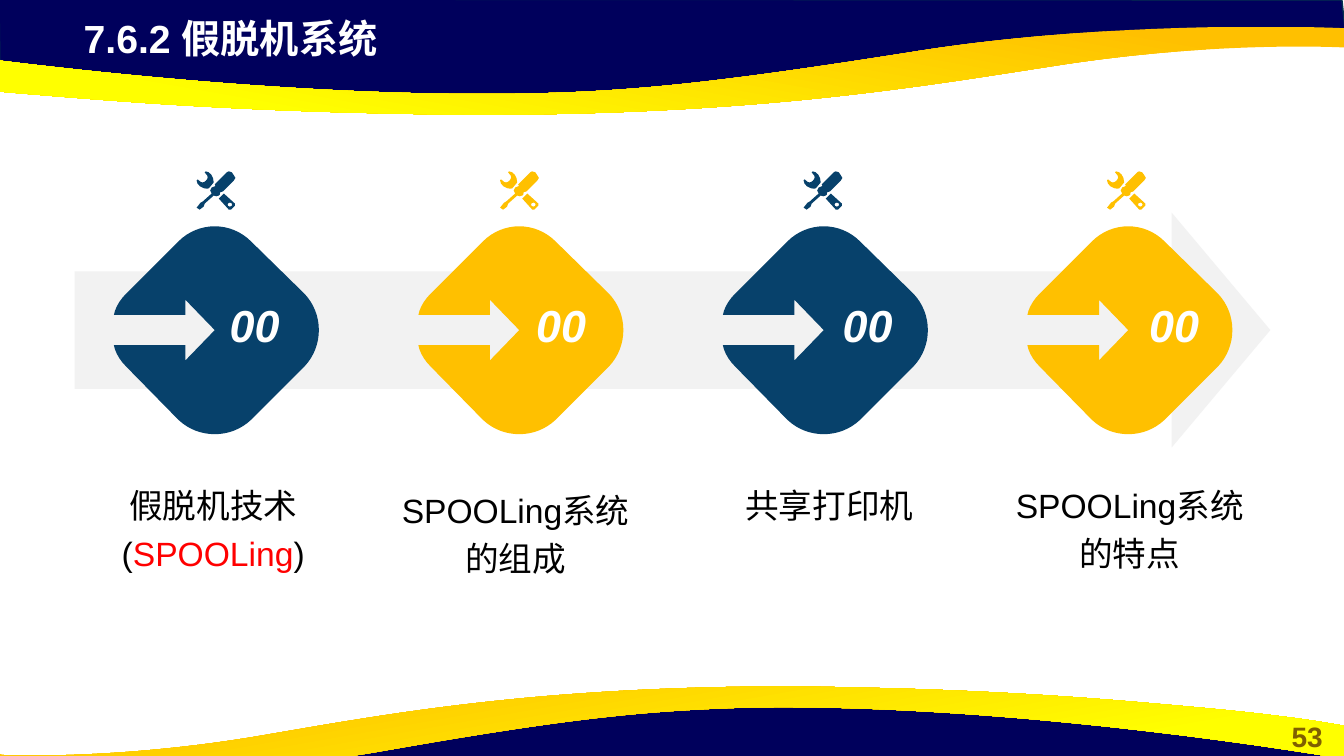
from lxml import etree
from pptx import Presentation
from pptx.dml.color import RGBColor
from pptx.enum.shapes import MSO_SHAPE
from pptx.enum.text import MSO_ANCHOR, MSO_AUTO_SIZE, PP_ALIGN
from pptx.oxml.ns import qn
from pptx.util import Inches, Pt

RIGHT_ARROW = MSO_SHAPE.RIGHT_ARROW
TOP, MIDDLE = MSO_ANCHOR.TOP, MSO_ANCHOR.MIDDLE
NO_FIT = MSO_AUTO_SIZE.NONE
LEFT, CENTER = PP_ALIGN.LEFT, PP_ALIGN.CENTER

NAVY, EDGE, GOLD, YELLOW = "00005C", "05304F", "FFC000", "FFFF00"
BLUE, GREY, WHITE, BLACK, RED = "07416B", "F2F2F2", "FFFFFF", "000000", "FF0000"
FONT = "Arial"
UNIT = Inches(0.01)

HEADER_NAVY = """M -1 -1 L 0 70 L 293 102 L 559 100 L 795 88 L 1016 50
L 1238 33 L 1335 38 L 1331 0"""
HEADER_GOLD = """M 483 114 C 443 114 401 113 356 112 C 206 108 110 100 36 94
C -88 84 -130 75 -133 75 L -133 42 C -133 42 218 98 517 93
C 626 91 708 83 915 50 C 1121 18 1333 28 1333 28 L 1333 47 L 1330 47
C 1305 46 1195 43 1055 64 C 918 85 762 113 483 114"""
FOOTER_NAVY = """M 1333 113 L 1332 43 L 1040 10 L 773 12 L 538 25 L 317 62
L 95 79 L -3 75 L 1 112"""
FOOTER_GOLD = """M 772 0 C 809 0 847 1 888 2 C 1025 6 1112 14 1179 20
C 1292 30 1330 39 1333 39 L 1333 72 C 1333 72 1014 16 742 21
C 642 24 567 31 380 64 C 192 97 -1 87 -1 87 L -1 67 L 2 68
C 25 69 125 71 252 50 C 376 29 519 1 772 0"""
DIAMOND = """M 0 -103 C 13 -103 26 -98 36 -88 L 89 -36 C 108 -16 108 16 89 36
L 36 89 C 16 108 -16 108 -36 89 L -88 36 C -93 31 -97 25 -99 19 L -100 15
L -29 15 L -29 30 L 0 0 L -29 -30 L -29 -15 L -100 -15 L -99 -19
C -97 -25 -93 -31 -88 -36 L -36 -88 C -26 -98 -13 -103 0 -103"""
TOOLS = """M 33 31 C 30 31 30 35 33 35 C 36 35 36 31 33 31
M 27 22 L 38 32 L 38 34 L 34 38 L 32 38 L 22 27 L 26 23
M 32 0 C 33 0 34 1 35 1 L 37 4 C 39 5 39 8 37 9 L 26 20
C 24 20 22 21 23 23 L 22 24 C 21 25 18 25 17 24 L 8 32 L 7 35 L 3 38 L 0 36
L 4 31 L 6 30 L 15 22 C 13 20 13 18 15 16 C 17 15 20 15 18 13 L 30 1
C 30 1 31 0 32 0
M 9 0 C 13 0 17 5 17 11 L 12 17 C 5 18 0 13 0 9 C 0 8 1 8 1 8
C 5 11 4 11 6 11 C 8 11 11 8 11 6 C 11 4 11 5 8 1"""

STEPS = [
    (0.73, 4.68, [("假脱机技术(", BLACK), ("SPOOLing", RED), (")", BLACK)]),
    (3.73, 4.73, [("SPOOLing系统的组成", BLACK)]),
    (6.84, 4.68, [("共享打印机", BLACK)]),
    (9.82, 4.68, [("SPOOLing系统的特点", BLACK)]),
]


def rgb(color):
    """Turn a hex string into a colour."""
    return RGBColor.from_string(color)


def read_contour(contour, left, top):
    """Return the segments of one contour, each a list of points in EMU."""
    segments = []
    for part in contour.replace("C", "L").split("L"):
        numbers = list(map(int, part.split()))
        segments.append([(Inches(left) + x * UNIT, Inches(top) + y * UNIT)
                         for x, y in zip(numbers[::2], numbers[1::2])])
    return segments


def bend_lines(sp, segments):
    """Turn the lines of a freeform into Bezier curves where segments have handles."""
    for line, points in zip(list(sp.element.iter(qn("a:lnTo"))), segments):
        if len(points) == 3:
            curve = etree.Element(qn("a:cubicBezTo"))
            for x, y in points:
                etree.SubElement(curve, qn("a:pt"), x=str(x - sp.left), y=str(y - sp.top))
            line.getparent().replace(line, curve)


def add_outline(s, outline, left, top, color=None):
    """Draw an outline, given in hundredths of an inch, from the point left, top."""
    builder, drawn = None, []
    for contour in outline.split("M")[1:]:
        start, *segments = read_contour(contour, left, top)
        if builder is None:
            builder = s.shapes.build_freeform(*start[0], scale=1.0)
        else:
            builder.move_to(*start[0])
        builder.add_line_segments([points[-1] for points in segments], close=True)
        drawn += segments
    sp = builder.convert_to_shape()
    bend_lines(sp, drawn)
    sp.shadow.inherit = False
    sp.line.fill.background()
    if color:
        sp.fill.solid()
        sp.fill.fore_color.rgb = rgb(color)
    return sp


def style_paragraph(p, size, color, align=CENTER, bold=False, italic=False):
    """Set the alignment and font of a paragraph."""
    p.alignment = align
    p.font.name, p.font.size = FONT, Pt(size)
    p.font.bold, p.font.italic = bold, italic
    p.font.color.rgb = rgb(color)


def add_text(s, box, runs, size, anchor=TOP, spacing=None, **style):
    """Place a one-paragraph text box made of (text, colour) runs."""
    tf = s.shapes.add_textbox(*map(Inches, box)).text_frame
    tf.word_wrap = True
    tf.vertical_anchor = anchor
    p = tf.paragraphs[0]
    style_paragraph(p, size, runs[0][1], **style)
    p.line_spacing = spacing
    for text, color in runs:
        r = p.add_run()
        r.text = text
        r.font.color.rgb = rgb(color)


def add_band(s, navy, gold, top, angle):
    """Draw a navy wave with its gold ribbon, from the given top."""
    sp = add_outline(s, navy, 0, top, NAVY)
    sp.line.color.rgb = rgb(EDGE)
    sp.line.width = Pt(1)
    ribbon = add_outline(s, gold, 0, top)
    ribbon.fill.gradient()
    ribbon.fill.gradient_angle = angle
    stops = zip(ribbon.fill.gradient_stops, (GOLD, YELLOW), (0.11, 0.78))
    for stop, color, position in stops:
        stop.color.rgb = rgb(color)
        stop.position = position


def add_title(s, box, text):
    """Fill the title placeholder, place it and bring it to the front."""
    sp = s.shapes.title
    sp.left, sp.top, sp.width, sp.height = map(Inches, box)
    tf = sp.text_frame
    tf.text = text
    tf.auto_size = NO_FIT
    tf.vertical_anchor = TOP
    style_paragraph(tf.paragraphs[0], 28, WHITE, LEFT, bold=True)
    sp.element.getparent().append(sp.element)


def add_process(s, left, top, width, height):
    """Draw the wide arrow with the four steps on it."""
    arrow = s.shapes.add_shape(RIGHT_ARROW, *map(Inches, (left, top, width, height)))
    arrow.adjustments[0], arrow.adjustments[1] = 0.5, 0.42
    arrow.shadow.inherit = False
    arrow.fill.solid()
    arrow.fill.fore_color.rgb = rgb(GREY)
    arrow.line.fill.background()
    for i, (label_left, label_top, runs) in enumerate(STEPS):
        color = (BLUE, GOLD)[i % 2]
        add_outline(s, DIAMOND, left + 1.39 + 3.02 * i, top + height / 2, color)
        add_outline(s, TOOLS, left + 1.21 + 3.01 * i, top - 0.41, color)
        add_text(s, (left + 1.4 + 3.04 * i, top + 0.74, 0.77, 0.74), [("00", WHITE)], 32,
                 MIDDLE, bold=True, italic=True)
        add_text(s, (label_left, label_top, 2.77, 1.6), runs, 24, spacing=1.2)


def main():
    """Build the slide and save it."""
    prs = Presentation()
    prs.slide_width, prs.slide_height = Inches(13.33), Inches(7.5)
    s = prs.slides.add_slide(prs.slide_layouts[5])
    add_band(s, HEADER_NAVY, HEADER_GOLD, 0, 260)
    add_band(s, FOOTER_NAVY, FOOTER_GOLD, 6.81, 280)
    add_text(s, (12.6, 7.09, 0.73, 0.44), [("53", "806000")], 20, bold=True)
    add_title(s, (0.73, 0.09, 7.68, 0.57), "7.6.2 假脱机系统")
    add_process(s, 0.74, 2.11, 11.86, 2.33)
    prs.save("out.pptx")


if __name__ == "__main__":
    main()
